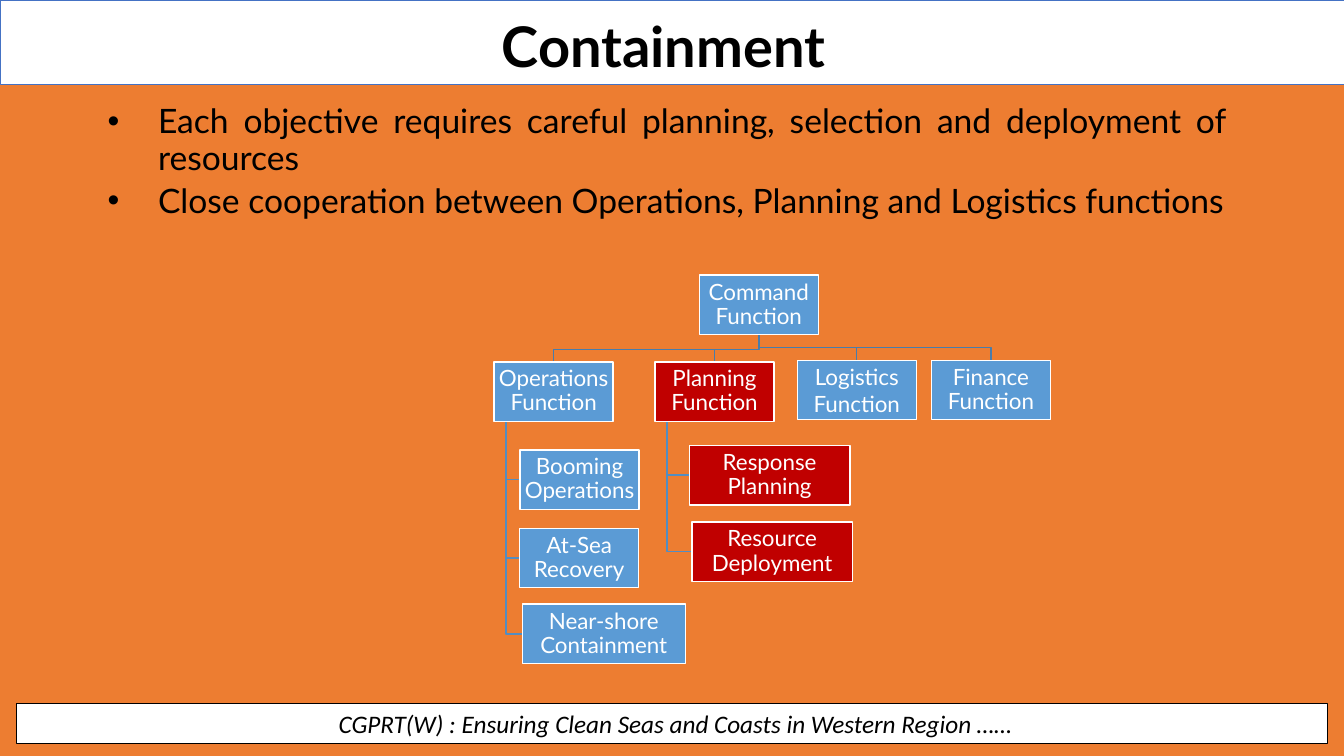
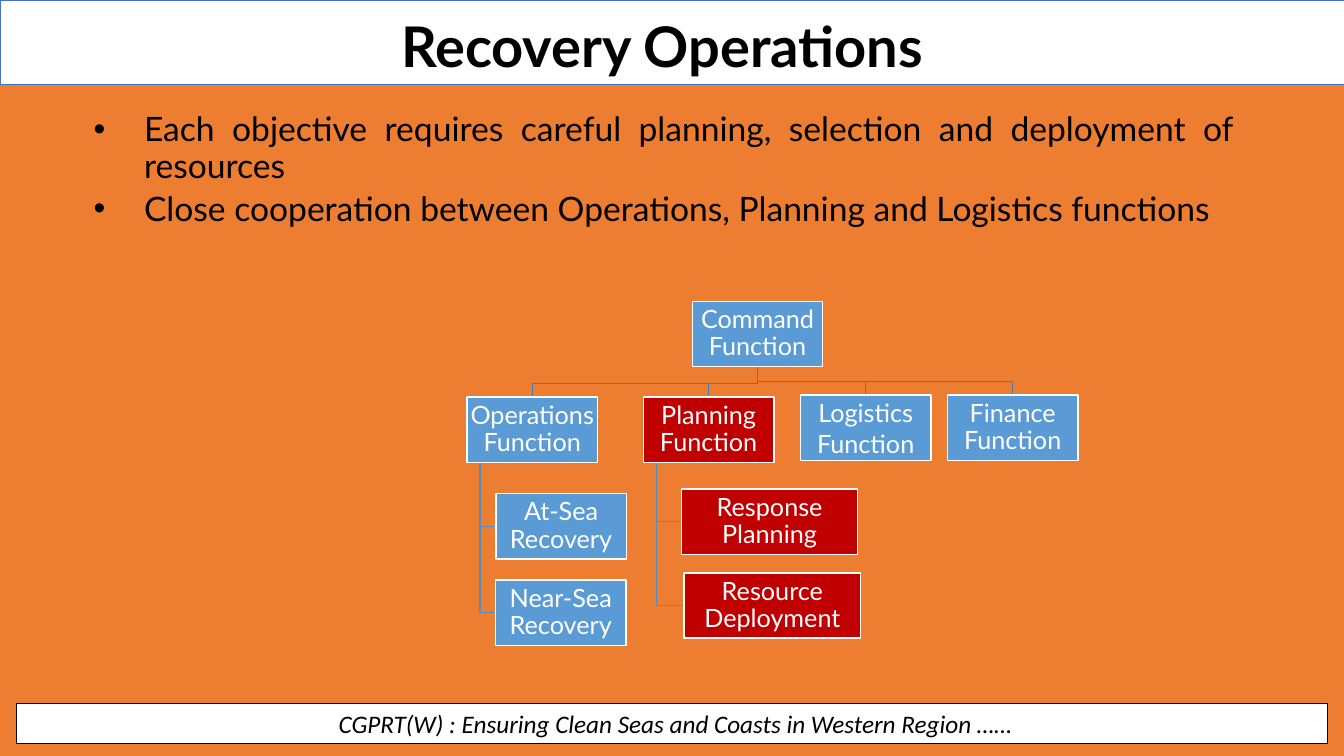
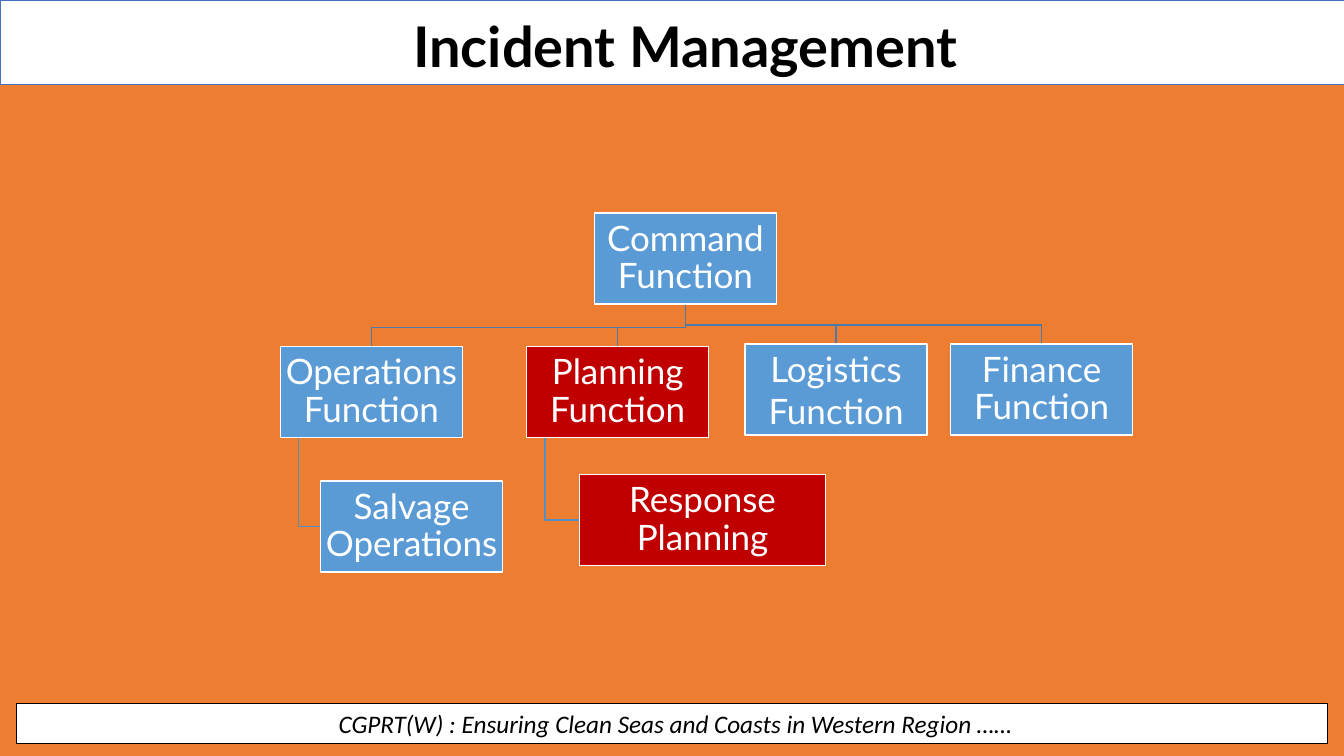
from lxml import etree
from pptx import Presentation
from pptx.dml.color import RGBColor
from pptx.enum.shapes import MSO_SHAPE
from pptx.enum.text import MSO_ANCHOR, PP_ALIGN
from pptx.oxml.ns import qn
from pptx.util import Pt

RECTANGLE = MSO_SHAPE.RECTANGLE
TOP, MIDDLE = MSO_ANCHOR.TOP, MSO_ANCHOR.MIDDLE
CENTER, JUSTIFY = PP_ALIGN.CENTER, PP_ALIGN.JUSTIFY

ORANGE, WHITE, BLACK = "ED7D31", "FFFFFF", "000000"
BLUE, RED, BAND_LINE = "5B9BD5", "C00000", "4472C4"
TRUNK_LINE, BRANCH_LINE = "497CAB", "538DC1"
FONT = "Lato"
SLIDE_WIDTH, SLIDE_HEIGHT = 960, 540
FOOTER = "CGPRT(W) : Ensuring Clean Seas and Coasts in Western Region ……"

OBJECTIVES = [
    "Each objective requires careful planning, selection and deployment of resources",
    "Close cooperation between Operations, Planning and Logistics functions",
]


def node(text, left, top, color=BLUE, width=None, spacing=0.9, children=()):
    return {"text": text, "left": left, "top": top, "color": color,
            "width": width, "spacing": spacing, "children": children}


SLIDES = [
    {
        "title": "Containment", "title_left": 149.8,
        "bullets": OBJECTIVES, "bullet_box": (69.8, 71.3, 812.9, 425.5),
        "box": (85, 42.5), "size": 16, "inset": 0.8,
        "chart": node("Command Function", 499.5, 196.5, children=[
            node("Operations Function", 353, 258.5, children=[
                node("Booming\nOperations", 371.5, 321.3),
                node("At-Sea Recovery", 371.2, 377.3),
                node("Near-shore Containment", 373, 431.5, width=116.6),
            ]),
            node("Planning Function", 467.9, 258.5, RED, children=[
                node("Response\nPlanning", 492.4, 318.2, RED, 114.8),
                node("Resource Deployment", 494.2, 372.8, RED, 114.8),
            ]),
            node("Logistics\nFunction", 569.5, 257.3, spacing=1.0),
            node("Finance Function", 665.3, 257.3),
        ]),
    },
    {
        "title": "Recovery Operations", "title_left": 149,
        "bullets": OBJECTIVES, "bullet_box": (59.8, 77, 828, 425.5),
        "box": (93.2, 46.6), "size": 18, "inset": 0.8,
        "chart": node("Command Function", 494.5, 215.3, children=[
            node("Operations Function", 333.6, 283.6, children=[
                node("At-Sea Recovery", 354.2, 352.7),
                node("Near-Sea Recovery", 354, 414.4),
            ]),
            node("Planning Function", 459.6, 283.6, RED, children=[
                node("Response\nPlanning", 486.7, 349.4, RED, 126),
                node("Resource Deployment", 488.7, 409.2, RED, 126),
            ]),
            node("Logistics\nFunction", 571.8, 282.3, spacing=1.0),
            node("Finance Function", 676.8, 282.3),
        ]),
    },
    {
        "title": "Incident Management", "title_left": 165.6,
        "bullets": [], "bullet_box": None,
        "box": (130, 65), "size": 25, "inset": 1.2,
        "chart": node("Command Function", 424.6, 152.2, children=[
            node("Operations Function", 200.3, 247.4, children=[
                node("Salvage\nOperations", 229, 343.6),
            ]),
            node("Planning Function", 376.2, 247.4, RED, children=[
                node("Response\nPlanning", 414, 339, RED, 175.7),
            ]),
            node("Logistics\nFunction", 532.2, 245.8, spacing=1.0),
            node("Finance Function", 679, 245.8),
        ]),
    },
]


def rgb(value):
    return RGBColor.from_string(value)


def add_run(paragraph, text, size, color, font=FONT, bold=False, italic=False):
    run = paragraph.add_run()
    run.text = text
    run.font.name = font
    run.font.size = Pt(size)
    run.font.bold = bold
    run.font.italic = italic
    run.font.color.rgb = rgb(color)


def add_rectangle(slide, bounds, fill, line, line_width):
    shape = slide.shapes.add_shape(RECTANGLE, *map(Pt, bounds))
    shape.shadow.inherit = False
    shape.fill.solid()
    shape.fill.fore_color.rgb = rgb(fill)
    shape.line.color.rgb = rgb(line)
    shape.line.width = Pt(line_width)
    return shape


def fill_frame(frame, lines, size, color, align=CENTER, spacing=0.9, bold=False, anchor=TOP):
    frame.word_wrap = True
    frame.vertical_anchor = anchor
    for index, line in enumerate(lines):
        paragraph = frame.add_paragraph() if index else frame.paragraphs[0]
        paragraph.alignment = align
        paragraph.line_spacing = spacing
        add_run(paragraph, line, size, color, bold=bold)


def add_bands(slide):
    footer = add_rectangle(slide, (11.5, 502.5, 937, 28.8), WHITE, BLACK, 0.75)
    frame = footer.text_frame
    frame.word_wrap = True
    frame.vertical_anchor = MIDDLE
    paragraph = frame.paragraphs[0]
    paragraph.alignment = CENTER
    add_run(paragraph, " ", 18, BLACK, "Arial")
    add_run(paragraph, FOOTER, 18, BLACK, "Calibri", italic=True)
    add_rectangle(slide, (0, 0, SLIDE_WIDTH, 60.5), WHITE, BAND_LINE, 0.5)


def add_title(slide, text, left):
    title = slide.shapes.add_textbox(Pt(left), Pt(10), Pt(648), Pt(44))
    fill_frame(title.text_frame, [text], 40, BLACK, bold=True)


def add_bullets(slide, bullets, bounds):
    body = slide.shapes.add_textbox(*map(Pt, bounds))
    fill_frame(body.text_frame, bullets, 24, BLACK, JUSTIFY)
    for index, paragraph in enumerate(body.text_frame.paragraphs):
        if index:
            paragraph.space_before = Pt(5)
        properties = paragraph._p.get_or_add_pPr()
        properties.set("marL", str(Pt(36)))
        properties.set("indent", str(-Pt(36)))
        etree.SubElement(properties, qn("a:buFont"), typeface="Arial")
        etree.SubElement(properties, qn("a:buChar"), char="•")


def add_elbow(slide, points, color):
    start, *corners = [(Pt(x), Pt(y)) for x, y in points]
    builder = slide.shapes.build_freeform(*start)
    builder.add_line_segments(corners, close=False)
    shape = builder.convert_to_shape()
    shape.shadow.inherit = False
    shape.fill.background()
    shape.line.color.rgb = rgb(color)
    shape.line.width = Pt(1)


def add_chart_lines(slide, root, width, height):
    root_x = root["left"] + width / 2
    for function in root["children"]:
        top_x = function["left"] + width / 2
        bend_y = function["top"] - 0.21 * height
        add_elbow(slide, [(root_x, root["top"] + height), (root_x, bend_y),
                          (top_x, bend_y), (top_x, function["top"])], TRUNK_LINE)
        stem_x = function["left"] + 0.1 * width
        for unit in function["children"]:
            middle_y = unit["top"] + height / 2
            add_elbow(slide, [(stem_x, function["top"] + height), (stem_x, middle_y),
                              (unit["left"], middle_y)], BRANCH_LINE)


def add_chart_boxes(slide, item, width, height, size, inset):
    bounds = (item["left"], item["top"], item["width"] or width, height)
    frame = add_rectangle(slide, bounds, item["color"], WHITE, 1).text_frame
    frame.margin_left = frame.margin_right = Pt(inset)
    frame.margin_top = frame.margin_bottom = Pt(inset)
    fill_frame(frame, item["text"].split("\n"), size, WHITE,
               spacing=item["spacing"], anchor=MIDDLE)
    for child in item["children"]:
        add_chart_boxes(slide, child, width, height, size, inset)


def main():
    presentation = Presentation()
    presentation.slide_width = Pt(SLIDE_WIDTH)
    presentation.slide_height = Pt(SLIDE_HEIGHT)
    background = presentation.slide_master.background.fill
    background.solid()
    background.fore_color.rgb = rgb(ORANGE)
    for content in SLIDES:
        slide = presentation.slides.add_slide(presentation.slide_layouts[6])
        add_bands(slide)
        add_title(slide, content["title"], content["title_left"])
        if content["bullets"]:
            add_bullets(slide, content["bullets"], content["bullet_box"])
        add_chart_lines(slide, content["chart"], *content["box"])
        add_chart_boxes(slide, content["chart"], *content["box"],
                        content["size"], content["inset"])
    presentation.save("out.pptx")


if __name__ == "__main__":
    main()
